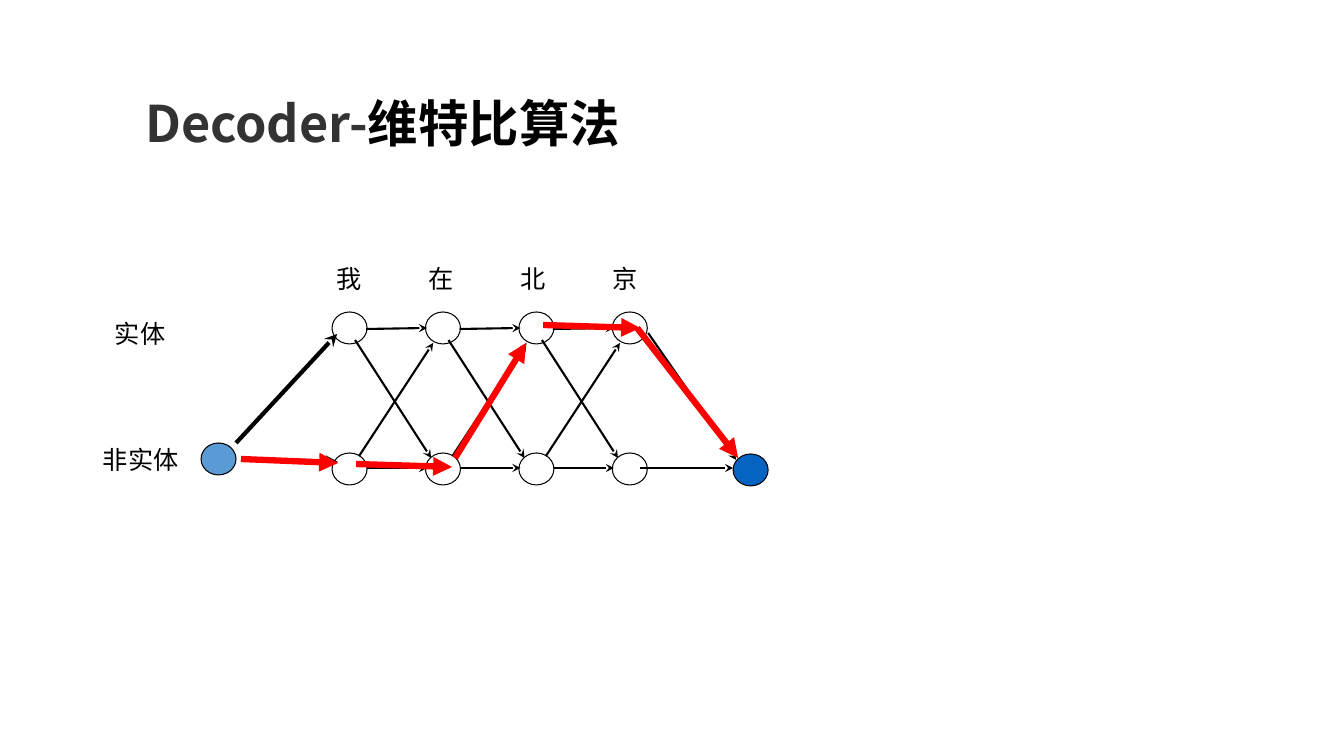
from lxml import etree
from pptx import Presentation
from pptx import util as u
from pptx.dml.color import RGBColor
from pptx.enum import shapes, text
from pptx.oxml.ns import qn

SCALE = 914400 / 100.8
CJK = "Noto Sans CJK SC"


def px(*vals):
    return [u.Emu(round(v * SCALE)) for v in vals]


def hue(code):
    return RGBColor.from_string(code)


def put(item, style):
    for key, val in style.items():
        setattr(item, key, val)


class Deck:
    ink = "000000"
    font = {"name": "Calibri", "size": u.Pt(18)}
    head = {"name": CJK, "size": u.Pt(36), "bold": True}

    def __init__(self):
        self.prs = Presentation()
        put(self.prs, {"slide_width": u.Inches(13.33), "slide_height": u.Inches(7.5)})
        self.slide = self.prs.slides.add_slide(self.prs.slide_layouts[5])

    def run(self, para, words, font, color):
        run = para.add_run()
        run.text = words
        put(run.font, font)
        run.font.color.rgb = hue(color)
        etree.SubElement(run.font._element, qn("a:ea"), typeface=CJK)

    def title(self, box, parts):
        shape = self.slide.shapes.title
        put(shape, dict(zip(("left", "top", "width", "height"), px(*box))))
        put(shape.text_frame, {"word_wrap": True, "auto_size": text.MSO_AUTO_SIZE.NONE,
                               "vertical_anchor": text.MSO_ANCHOR.TOP})
        para = shape.text_frame.paragraphs[0]
        para.alignment = text.PP_ALIGN.LEFT
        for words, color in parts:
            self.run(para, words, self.head, color)

    def label(self, words, x, y, w, wrap=False):
        frame = self.slide.shapes.add_textbox(*px(x, y, w, 40)).text_frame
        put(frame, {"word_wrap": wrap, "auto_size": text.MSO_AUTO_SIZE.SHAPE_TO_FIT_TEXT})
        self.run(frame.paragraphs[0], words, self.font, self.ink)

    def node(self, x, y, fill=None):
        oval = self.slide.shapes.add_shape(shapes.MSO_SHAPE.OVAL, *px(x, y, 35, 32))
        oval.shadow.inherit = False
        if fill:
            oval.fill.solid()
            oval.fill.fore_color.rgb = hue(fill)
        else:
            oval.fill.background()
        oval.line.color.rgb = hue(self.ink)
        oval.line.width = u.Pt(0.75)

    def arrow(self, x1, y1, x2, y2, width=1.5, color=ink, tip="stealth"):
        link = self.slide.shapes.add_connector(
            shapes.MSO_CONNECTOR.STRAIGHT, *px(x1, y1, x2, y2))
        link.line.color.rgb = hue(color)
        link.line.width = u.Pt(width)
        etree.SubElement(link.line._get_or_add_ln(), qn("a:tailEnd"), type=tip)
        etree.SubElement(link._element.spPr, qn("a:effectLst"))


deck = Deck()
deck.title((135, 87, 702, 72), [("Decoder-", "333333"), ("维特比算法", "000000")])

STEP = 93.4
WORD = "我在北京"
HOPS = [(355, 340, 431, 458), (359, 456, 433, 343),
        (366, 329, 427, 328), (367, 468, 427, 468)]
for col, char in enumerate(WORD):
    shift = col * STEP
    for row in (312, 453):
        deck.node(332 + shift, row)
    deck.label(char, 327 + col * 91.7, 258, 45)
    if col < len(WORD) - 1:
        for x1, y1, x2, y2 in HOPS:
            deck.arrow(x1 + shift, y1, x2 + shift, y2)

deck.node(201, 443, "5B9BD5")
deck.arrow(236, 443, 337, 334, 3)
deck.arrow(241, 459, 338, 462, 3)
deck.node(733, 454, "0563C1")
deck.arrow(648, 333, 736, 460)
deck.arrow(640, 468, 733, 468)

deck.label("实体", 105, 313, 93, True)
deck.label("非实体", 93, 439, 97)

BEST = [(241, 459, 338, 463), (356, 464, 452, 467), (455, 458, 526, 343),
        (543, 325, 640, 328), (637, 328, 738, 458)]
for hop in BEST:
    deck.arrow(*hop, 4.5, "FF0000", "triangle")

deck.prs.save("out.pptx")
